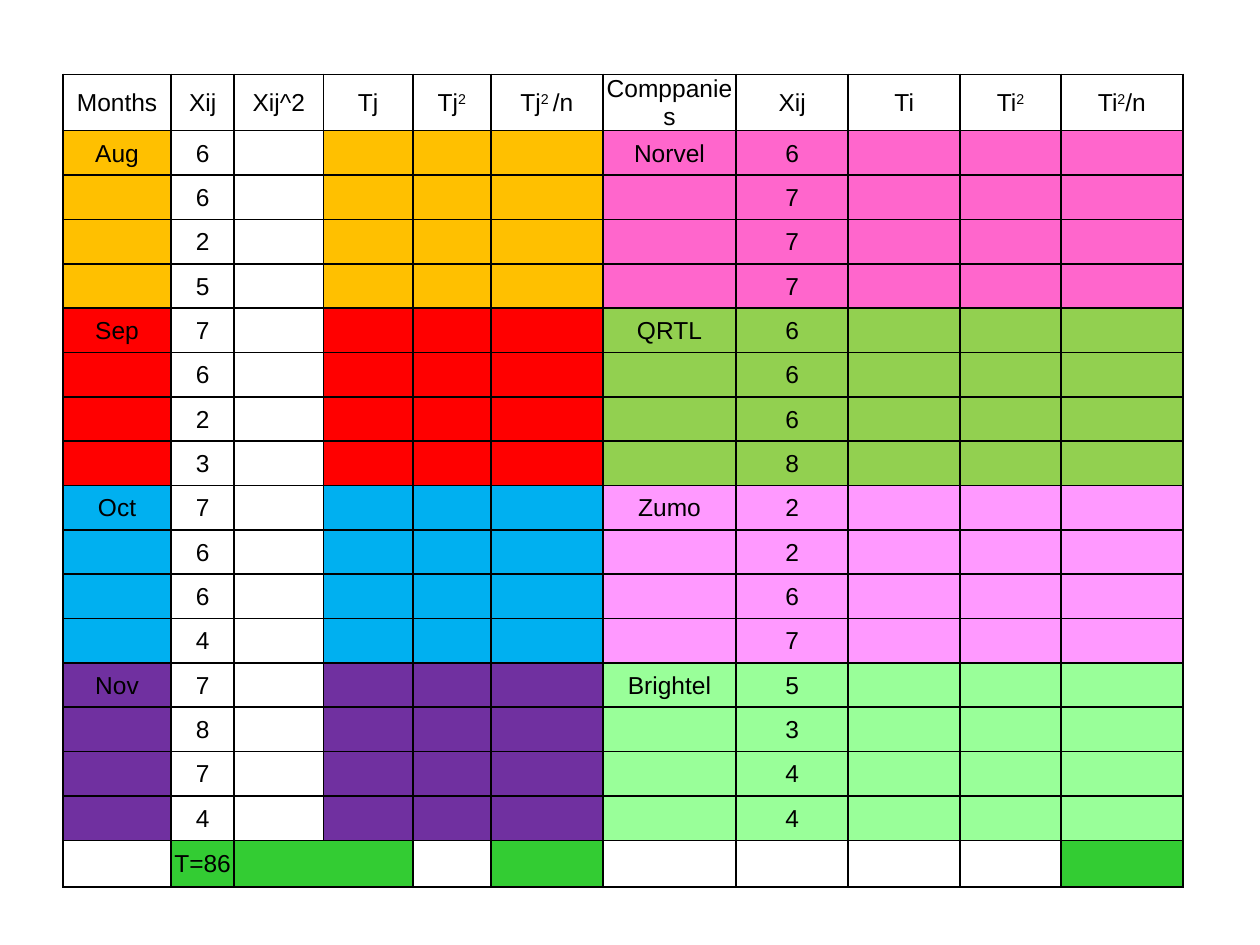
from lxml.etree import SubElement
from pptx import Presentation
from pptx.dml.color import RGBColor
from pptx.enum.text import MSO_ANCHOR, PP_ALIGN
from pptx.oxml.ns import qn
from pptx.util import Inches, Pt

COLS = [0.86, 0.5, 0.71, 0.71, 0.62, 0.89, 1.06, 0.89, 0.89, 0.8, 0.97]
HEADERS = ["Months", "Xij", "Xij^2", "Tj", "Tj^{2}", "Tj^{2 }/n",
           "Comppanies", "Xij", "Ti", "Ti^{2}", "Ti^{2}/n"]
MONTHS = [("Aug", "FFC000", [6, 6, 2, 5]), ("Sep", "FF0000", [7, 6, 2, 3]),
          ("Oct", "00B0F0", [7, 6, 6, 4]), ("Nov", "7030A0", [7, 8, 7, 4])]
COMPANIES = [("Norvel", "FF66CC", [6, 7, 7, 7]), ("QRTL", "92D050", [6, 6, 6, 8]),
             ("Zumo", "FF99FF", [2, 2, 6, 7]), ("Brightel", "99FF99", [5, 3, 4, 4])]
GROUP = 4
WHITE, BLACK, TOTAL = "FFFFFF", "000000", "33CC33"


def rgb(code):
    return RGBColor.from_string(code)


def add_run(p, text, raised=False):
    r = p.add_run()
    r.text = text
    r.font.name = "Arial"
    r.font.size = Pt(14)
    r.font.color.rgb = rgb(BLACK)
    if raised:
        r.font._element.set("baseline", "30000")


def write(cell, text):
    p = cell.text_frame.paragraphs[0]
    p.alignment = PP_ALIGN.CENTER
    base, mark, rest = text.partition("^{")
    add_run(p, base)
    if mark:
        power, _, tail = rest.partition("}")
        add_run(p, power, True)
        if tail:
            add_run(p, tail)


def add_borders(cell):
    props = cell._tc.get_or_add_tcPr()
    for i, side in enumerate(("lnL", "lnR", "lnT", "lnB")):
        line = props.makeelement(qn(f"a:{side}"), {"w": str(Pt(1))})
        fill = SubElement(line, qn("a:solidFill"))
        SubElement(fill, qn("a:srgbClr"), val=BLACK)
        props.insert(i, line)


def format_cell(cell):
    cell.margin_left = cell.margin_right = cell.margin_top = Inches(0.01)
    cell.margin_bottom = 0
    cell.vertical_anchor = MSO_ANCHOR.MIDDLE
    cell.fill.solid()
    cell.fill.fore_color.rgb = rgb(WHITE)
    add_borders(cell)


def fill_groups(table, groups, name_col, colored_cols):
    for g, (name, color, values) in enumerate(groups):
        first = 1 + g * GROUP
        write(table.cell(first, name_col), name)
        for row, value in enumerate(values, first):
            write(table.cell(row, name_col + 1), str(value))
            for col in colored_cols:
                table.cell(row, col).fill.fore_color.rgb = rgb(color)


def fill_totals(table, row):
    write(table.cell(row, 1), "T=86")
    for col in (1, 2, 3, 5, 10):
        table.cell(row, col).fill.fore_color.rgb = rgb(TOTAL)
    table.cell(row, 2).merge(table.cell(row, 3))


def add_anova_table(s, left, top, width, height):
    n_rows = 2 + GROUP * len(MONTHS)
    table = s.shapes.add_table(n_rows, len(COLS), left, top, width, height).table
    table.first_row = table.horz_banding = False
    for column, share in zip(table.columns, COLS):
        column.width = int(width * share / sum(COLS))
    for i, row in enumerate(table.rows):
        row.height = Inches(0.37) if i in (0, n_rows - 1) else int(height / 18.4)
    for cell in table.iter_cells():
        format_cell(cell)
    for col, text in enumerate(HEADERS):
        write(table.cell(0, col), text)
    fill_groups(table, MONTHS, 0, (0, 3, 4, 5))
    fill_groups(table, COMPANIES, 6, range(6, 11))
    fill_totals(table, n_rows - 1)


def main():
    prs = Presentation()
    prs.slide_width, prs.slide_height = Inches(10), Inches(7.5)
    s = prs.slides.add_slide(prs.slide_layouts[6])
    add_anova_table(s, Inches(0.5), Inches(0.59), Inches(8.89), Inches(6.48))
    prs.save("out.pptx")


if __name__ == "__main__":
    main()
